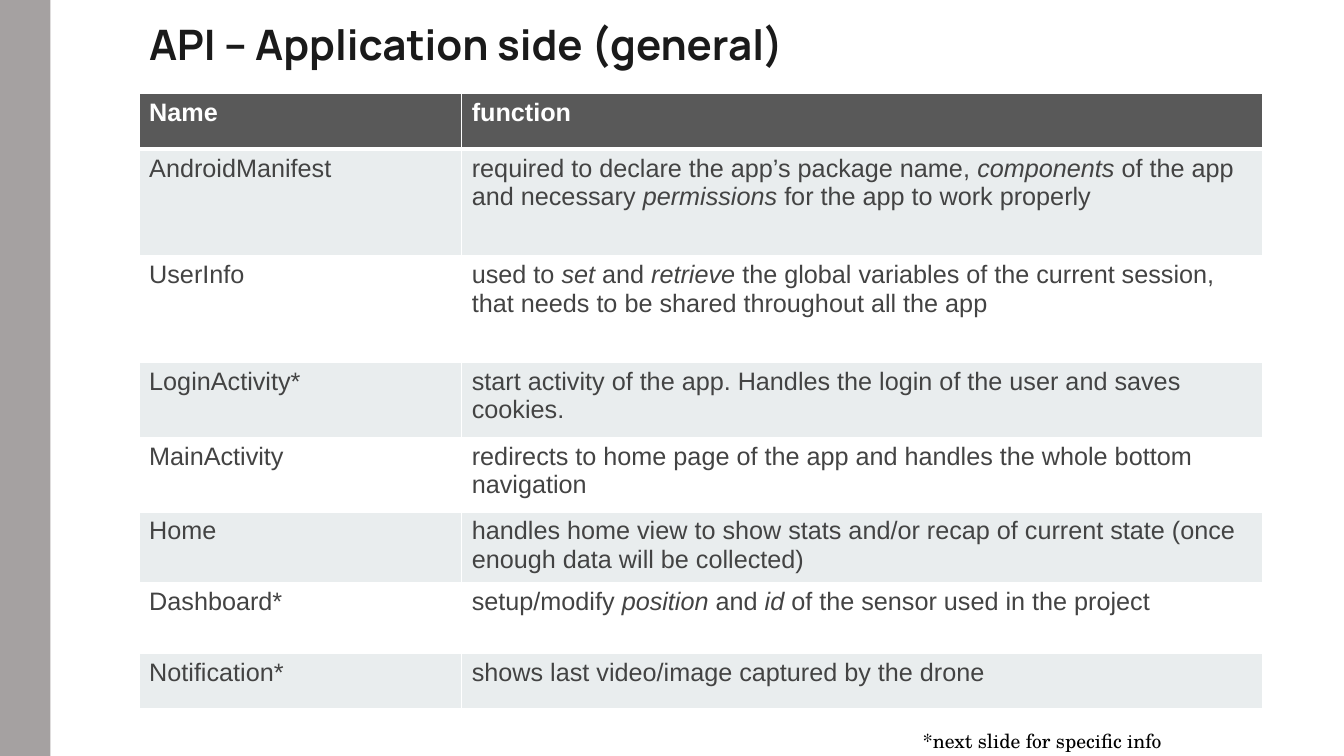
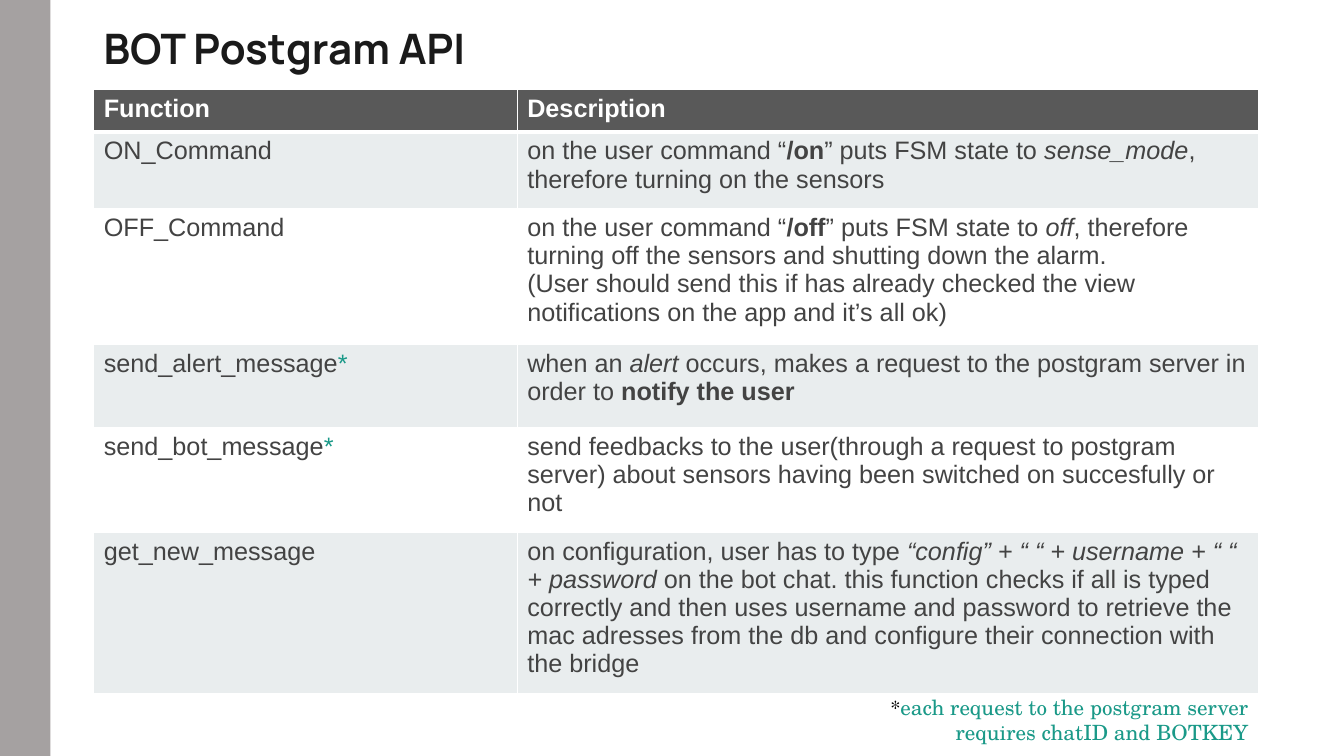
"""Build two API overview slides, each with a title, a table and a footnote."""
from lxml import etree
from pptx import Presentation
from pptx.dml.color import RGBColor
from pptx.enum.shapes import MSO_SHAPE
from pptx.enum.text import MSO_ANCHOR, PP_ALIGN
from pptx.oxml.ns import qn
from pptx.util import Inches, Pt

RECT = MSO_SHAPE.RECTANGLE
TOP, LOW = MSO_ANCHOR.TOP, MSO_ANCHOR.BOTTOM
LEFT, RIGHT = PP_ALIGN.LEFT, PP_ALIGN.RIGHT
WIDE, HIGH, BAND = 13.33, 7.5, 0.5
GREY, DARK, PALE, WHITE = "A5A1A1", "595959", "E9EDEE", "FFFFFF"
INK, BODY, TEAL, BLACK = "1A1A1A", "434343", "1A9988", "000000"
HEAD = ("Manrope", 30, INK)
CELL = ("Arial", 18, BODY)
NOTE = ("TeX Gyre Schola", 14, BLACK)

# In text, "|" parts runs; a run may start with ~ (italic), # (bold) or ^ (teal).
SLIDES = [
    {
        "title": "API – Application side (general)",
        "box": (1.38, 0, 6.98, 0.74),
        "top": 0.93,
        "cols": (3.2, 7.94),
        "rows": [
            (0.55, "Name", "function"),
            (1.06, "AndroidManifest",
             "required to declare the app’s package name, |~components |of the app "
             "and necessary |~permissions |for the app to work properly"),
            (1.06, "UserInfo",
             "used to |~set |and |~retrieve |the global variables of the current "
             "session, that needs to be shared throughout all the app"),
            (0.74, "LoginActivity*",
             "start activity of the app. Handles the login of the user and saves cookies."),
            (0.74, "MainActivity",
             "redirects to home page of the app and handles the whole bottom navigation"),
            (0.7, "Home",
             "handles home view to show stats and/or recap of current state "
             "(once enough data will be collected)"),
            (0.7, "Dashboard*",
             "setup/modify |~position| and|~ id| of the sensor used in the project"),
            (0.55, "Notification*", "shows last video/image captured by the drone"),
        ],
        "note": "*next slide for specific info",
        "foot": (8.53, 7.13, 3.09, 0.37),
    },
    {
        "title": "BOT Postgram API",
        "box": (0.93, 0, 10.6, 0.78),
        "top": 0.89,
        "cols": (4.2, 7.35),
        "rows": [
            (0.42, "Function", "Description"),
            (0.76, "ON_Command",
             "on the user command “|#/on|” puts FSM state to |~sense_mode|, "
             "therefore turning on the sensors"),
            (1.35, "OFF_Command",
             "on the user command “|#/off|” puts FSM state to |~off|, therefore "
             "turning off the sensors and shutting down the alarm.\n"
             "(User should send this if has already checked the view "
             "notifications on the app and it’s all ok)"),
            (0.82, "send_alert_message|^*",
             "when an |~alert |occurs, makes a request to the postgram server in "
             "order to |#notify the user"),
            (1.04, "send_bot_message|^*",
             "send feedbacks to the user(through a request to postgram server) "
             "about sensors having been switched on succesfully or not"),
            (1.49, "get_new_message",
             "on configuration, user has to type |~“config” + “ “ + username + “ “ "
             "+ password |on the bot chat. this function checks if all is typed "
             "correctly and then uses username and password to retrieve the mac "
             "adresses from the db and configure their connection with the bridge"),
        ],
        "note": "*|^each request to the postgram server requires chatID and BOTKEY",
        "foot": (8.62, 6.79, 3.86, 0.71),
    },
]


def rgb(code):
    return RGBColor.from_string(code)


def write(frame, text, style, bold=False, align=LEFT, line=None):
    name, size, color = style
    for num, part in enumerate(text.split("\n")):
        para = frame.add_paragraph() if num else frame.paragraphs[0]
        para.alignment = align
        if line:
            para.line_spacing = line
        for piece in part.split("|"):
            mark = piece[0] if piece[0] in "~#^" else ""
            run = para.add_run()
            run.text = piece[len(mark):]
            font = run.font
            font.name = name
            font.size = Pt(15 if mark == "^" and style is NOTE else size)
            font.bold = bold or mark == "#"
            font.italic = mark == "~"
            font.color.rgb = rgb(TEAL if mark == "^" else color)


def label(slide, box, text, style, pads, anchor, **look):
    frame = slide.shapes.add_textbox(*map(Inches, box)).text_frame
    frame.word_wrap = True
    frame.vertical_anchor = anchor
    frame.margin_top, frame.margin_bottom = map(Inches, pads)
    write(frame, text, style, **look)


def edge(cell, side, width):
    line = etree.SubElement(cell._tc.get_or_add_tcPr(), qn("a:ln" + side), w=str(Pt(width)))
    fill = etree.SubElement(line, qn("a:solidFill"))
    etree.SubElement(fill, qn("a:srgbClr"), val=WHITE)


def grid(slide, left, top, cols, rows):
    size = (left, top, sum(cols), sum(row[0] for row in rows))
    table = slide.shapes.add_table(len(rows), len(cols), *map(Inches, size)).table
    for col, width in zip(table.columns, cols):
        col.width = Inches(width)
    for r, (height, *texts) in enumerate(rows):
        table.rows[r].height = Inches(height)
        thick = {0: "B", 1: "T"}.get(r)
        for c, text in enumerate(texts):
            cell = table.cell(r, c)
            for side in "LRTB":
                edge(cell, side, 3 if side == thick else 1)
            cell.fill.solid()
            cell.fill.fore_color.rgb = rgb((PALE if r % 2 else WHITE) if r else DARK)
            style = CELL if r else (*CELL[:2], WHITE)
            write(cell.text_frame, text, style, bold=r == 0)


def band(slide):
    bar = slide.shapes.add_shape(RECT, 0, 0, Inches(BAND), Inches(HIGH))
    bar.shadow.inherit = False
    bar.fill.solid()
    bar.fill.fore_color.rgb = rgb(GREY)
    bar.line.fill.background()


def main():
    deck = Presentation()
    deck.slide_width, deck.slide_height = Inches(WIDE), Inches(HIGH)
    for data in SLIDES:
        slide = deck.slides.add_slide(deck.slide_layouts[6])
        band(slide)
        label(slide, data["box"], data["title"], HEAD, (0.03, 0.05), LOW, bold=True, line=0.9)
        grid(slide, data["box"][0], data["top"], data["cols"], data["rows"])
        label(slide, data["foot"], data["note"], NOTE, (0.1, 0), TOP, align=RIGHT)
    deck.save("out.pptx")


if __name__ == "__main__":
    main()
